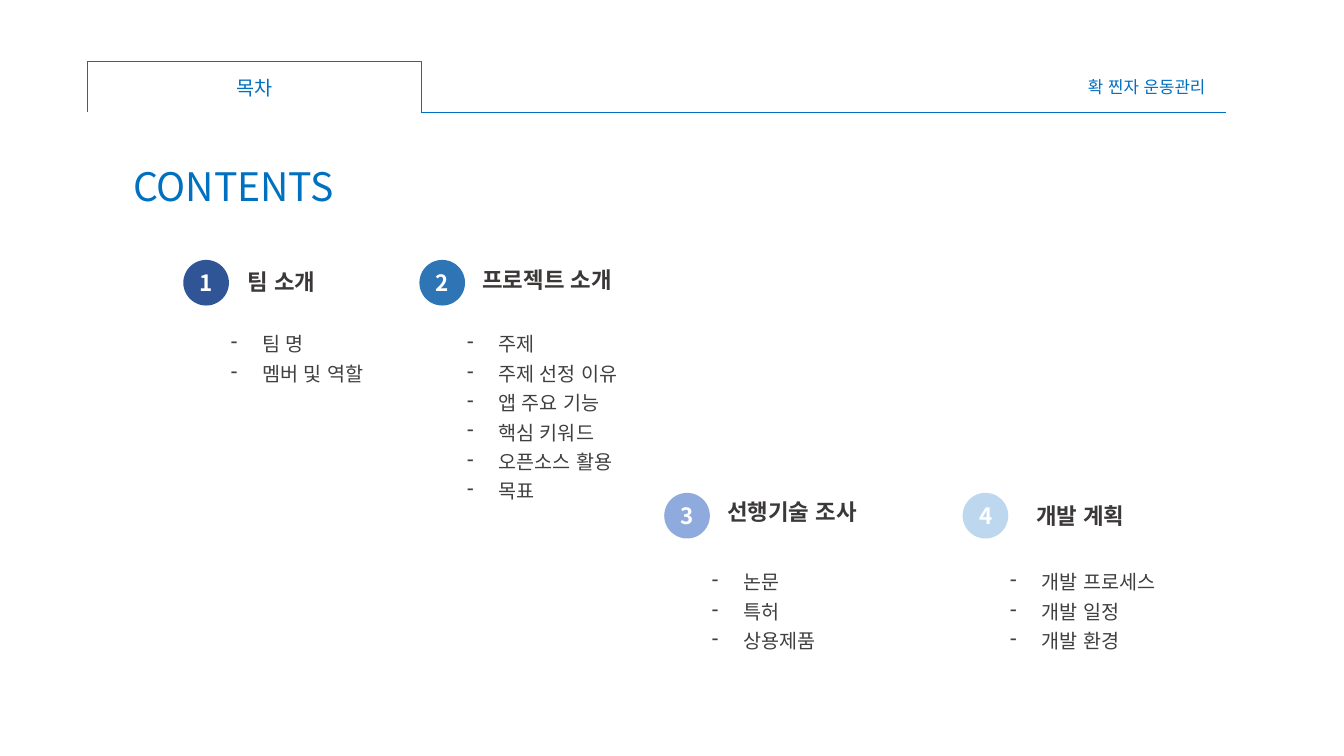
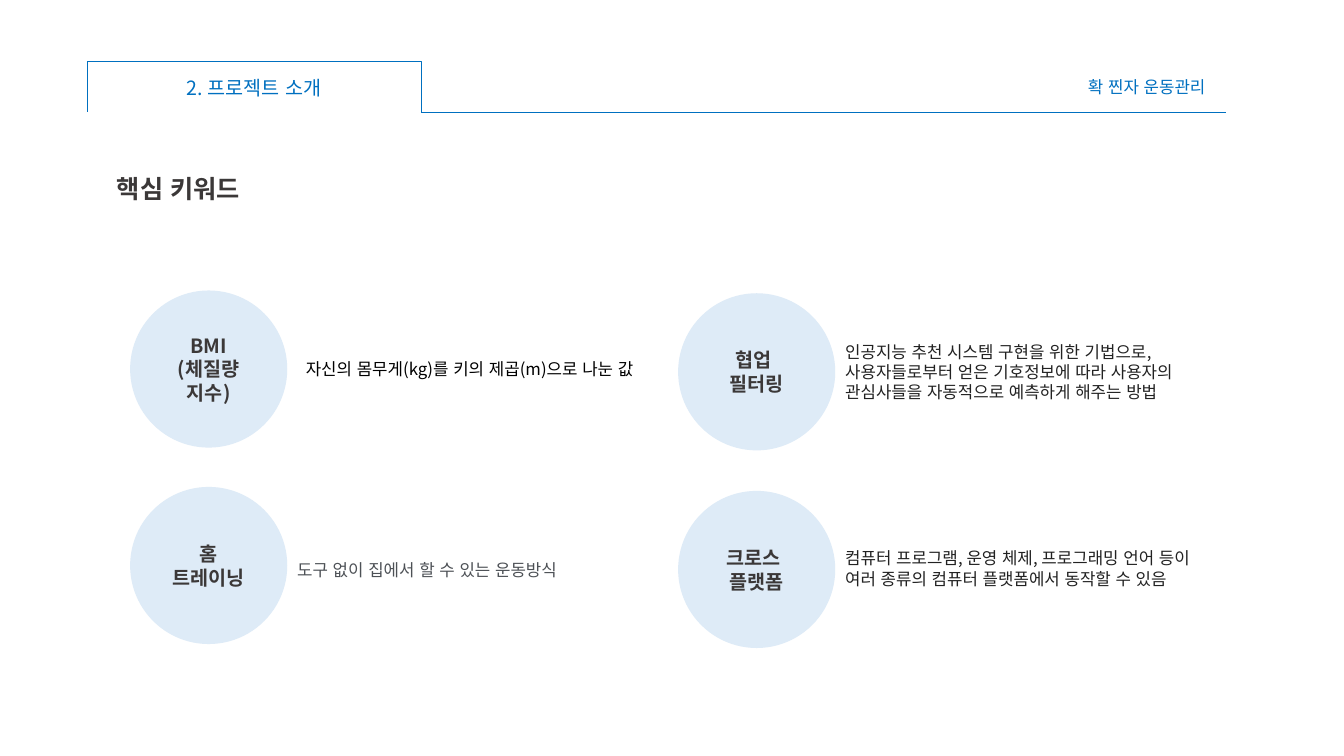
import dataclasses

import lxml.etree
import pptx
import pptx.dml.color
import pptx.enum.lang
import pptx.enum.shapes
import pptx.enum.text
import pptx.oxml.ns
import pptx.util

Cm = pptx.util.Cm
Pt = pptx.util.Pt
qn = pptx.oxml.ns.qn
Align = pptx.enum.text.PP_ALIGN
Anchor = pptx.enum.text.MSO_ANCHOR
Preset = pptx.enum.shapes.MSO_SHAPE


@dataclasses.dataclass(frozen=True)
class Theme:
    font: str = "Noto Sans CJK KR"
    accent: str = "0070C0"
    heading: str = "3B3838"
    body: str = "404040"
    white: str = "FFFFFF"
    bubble: str = "DEEBF7"
    black: str = "000000"
    slate: str = "4D5156"
    charcoal: str = "222222"
    steps: tuple = ("2F5597", "2E75B6", "8FAADC", "BDD7EE")
    contents_size: int = 28
    title_size: int = 18
    heading_size: int = 16
    body_size: int = 14
    note_size: int = 12
    line_width: float = 0.5


def rgb(value):
    return pptx.dml.color.RGBColor.from_string(value)


class Deck:
    def __init__(self, theme):
        self.theme = theme
        self.presentation = pptx.Presentation()
        self.presentation.slide_width = Cm(33.87)
        self.presentation.slide_height = Cm(19.05)
        self.page = None

    def add_page(self, section):
        self.page = self.presentation.slides.add_slide(self.presentation.slide_layouts[5])
        self.tab()
        self.rule(10.62, 30.89, 2.82)
        self.text([section], 2.2, 1.8, 8.41, 0.86, self.theme.body_size,
                  self.theme.accent, align=Align.CENTER)
        self.text(["확 찐자 운동관리"], 26.92, 1.8, 3.96, 0.76, self.theme.note_size,
                  self.theme.accent, align=Align.CENTER)

    def stroke(self, line):
        line.color.rgb = rgb(self.theme.accent)
        line.width = Pt(self.theme.line_width)

    def tab(self):
        bracket = self.page.shapes.add_shape(
            Preset.RIGHT_BRACKET, Cm(5.77), Cm(-2.03), Cm(1.27), Cm(8.41))
        bracket.rotation = 270
        bracket.adjustments[0] = 0
        bracket.shadow.inherit = False
        bracket.fill.background()
        self.stroke(bracket.line)

    def rule(self, start, end, top):
        connector = self.page.shapes.add_connector(
            pptx.enum.shapes.MSO_CONNECTOR.STRAIGHT, Cm(start), Cm(top), Cm(end), Cm(top))
        self.stroke(connector.line)
        lxml.etree.SubElement(connector._element.spPr, qn("a:effectLst"))

    def fill_text(self, shape, lines, size, color, bold=False, align=Align.LEFT,
                  spacing=1.0, bullet=None, anchor=Anchor.TOP):
        frame = shape.text_frame
        frame.word_wrap = True
        frame.vertical_anchor = anchor
        for index, line in enumerate(lines):
            para = frame.add_paragraph() if index else frame.paragraphs[0]
            para.alignment = align
            para.line_spacing = spacing
            if bullet:
                self.bullet(para, bullet)
            span = para.add_run()
            span.text = line
            span.font.name = self.theme.font
            span.font.size = Pt(size)
            span.font.bold = bold
            span.font.color.rgb = rgb(color)
            span.font.language_id = pptx.enum.lang.MSO_LANGUAGE_ID.KOREAN
            lxml.etree.SubElement(
                span._r.get_or_add_rPr(), qn("a:ea"), typeface=self.theme.font)

    def bullet(self, para, mark):
        properties = para._p.get_or_add_pPr()
        properties.set("marL", str(Cm(0.79)))
        properties.set("indent", str(Cm(-0.79)))
        lxml.etree.SubElement(properties, qn("a:buChar"), char=mark)

    def title(self, words, left, top, width, height, size, color, **style):
        box = self.page.shapes.title
        box.left, box.top, box.width, box.height = map(Cm, (left, top, width, height))
        box.text_frame.auto_size = pptx.enum.text.MSO_AUTO_SIZE.NONE
        self.fill_text(box, [words], size, color, **style)

    def text(self, lines, left, top, width, height, size, color, **style):
        box = self.page.shapes.add_textbox(Cm(left), Cm(top), Cm(width), Cm(height))
        box.text_frame.auto_size = pptx.enum.text.MSO_AUTO_SIZE.SHAPE_TO_FIT_TEXT
        self.fill_text(box, lines, size, color, **style)

    def circle(self, lines, left, top, diameter, fill, size, color):
        circle = self.page.shapes.add_shape(
            Preset.OVAL, Cm(left), Cm(top), Cm(diameter), Cm(diameter))
        circle.shadow.inherit = False
        circle.fill.solid()
        circle.fill.fore_color.rgb = rgb(fill)
        circle.line.fill.background()
        self.fill_text(circle, lines, size, color, bold=True, align=Align.CENTER,
                       anchor=Anchor.MIDDLE)

    def chapter(self, number, name, topics, left, top, name_left, name_top, topics_top):
        theme = self.theme
        self.circle([str(number)], left, top, 1.15, theme.steps[number - 1],
                    theme.heading_size, theme.white)
        self.text([name], name_left, name_top, 6.73, 0.94, theme.heading_size,
                  theme.heading, bold=True)
        self.text(topics, left + 0.95, topics_top, 6.22, 0.19 + 0.75 * len(topics),
                  theme.body_size, theme.body, spacing=1.25, bullet="-")

    def keyword(self, name, meaning, left, top, meaning_top, width, color, align=Align.LEFT):
        theme = self.theme
        diameter = 3.96
        self.circle(name, left, top, diameter, theme.bubble, theme.body_size, theme.heading)
        self.text(meaning, left + diameter, meaning_top, width, 1.27, theme.note_size,
                  color, align=align)


def contents_page(deck):
    theme = deck.theme
    deck.add_page("목차")
    deck.title("CONTENTS", 3.1, 3.38, 5.82, 1.83, theme.contents_size, theme.accent,
               spacing=1.5)
    chapters = [
        ("팀 소개", ["팀 명", "멤버 및 역할"], 4.62, 6.55, 5.99, 6.63, 8.1),
        ("프로젝트 소개",
         ["주제", "주제 선정 이유", "앱 주요 기능", "핵심 키워드", "오픈소스 활용", "목표"],
         10.57, 6.55, 11.91, 6.58, 8.1),
        ("선행기술 조사", ["논문", "특허", "상용제품"], 16.74, 12.42, 18.08, 12.42, 14.1),
        ("개발 계획", ["개발 프로세스", "개발 일정", "개발 환경"],
         24.26, 12.42, 25.86, 12.52, 14.1),
    ]
    for number, chapter in enumerate(chapters, 1):
        deck.chapter(number, *chapter)


def keywords_page(deck):
    theme = deck.theme
    deck.add_page("2. 프로젝트 소개")
    deck.title("핵심 키워드", 2.69, 4.24, 9.96, 1.02, theme.title_size, theme.heading,
               bold=True)
    left, right = 3.28, 17.09
    deck.keyword(["BMI", "(체질량 지수)"],
                 ["자신의 몸무게(kg)를 키의 제곱(m)으로 나눈 값"],
                 left, 7.32, 8.92, 9.19, theme.black, Align.CENTER)
    deck.keyword(["홈", "트레이닝"], ["도구 없이 집에서 할 수 있는 운동방식"],
                 left, 12.27, 13.97, 9.19, theme.slate)
    deck.keyword(["협업 ", "필터링"],
                 ["인공지능 추천 시스템 구현을 위한 기법으로, 사용자들로부터 얻은 "
                  "기호정보에 따라 사용자의 관심사들을 자동적으로 예측하게 해주는 방법"],
                 right, 7.39, 8.48, 9.7, theme.charcoal)
    deck.keyword(["크로스 ", "플랫폼"],
                 ["컴퓨터 프로그램, 운영 체제, 프로그래밍 언어 등이",
                  "여러 종류의 컴퓨터 플랫폼에서 동작할 수 있음"],
                 right, 12.37, 13.69, 9.96, theme.charcoal)


def main():
    deck = Deck(Theme())
    contents_page(deck)
    keywords_page(deck)
    deck.presentation.save("out.pptx")


if __name__ == "__main__":
    main()
